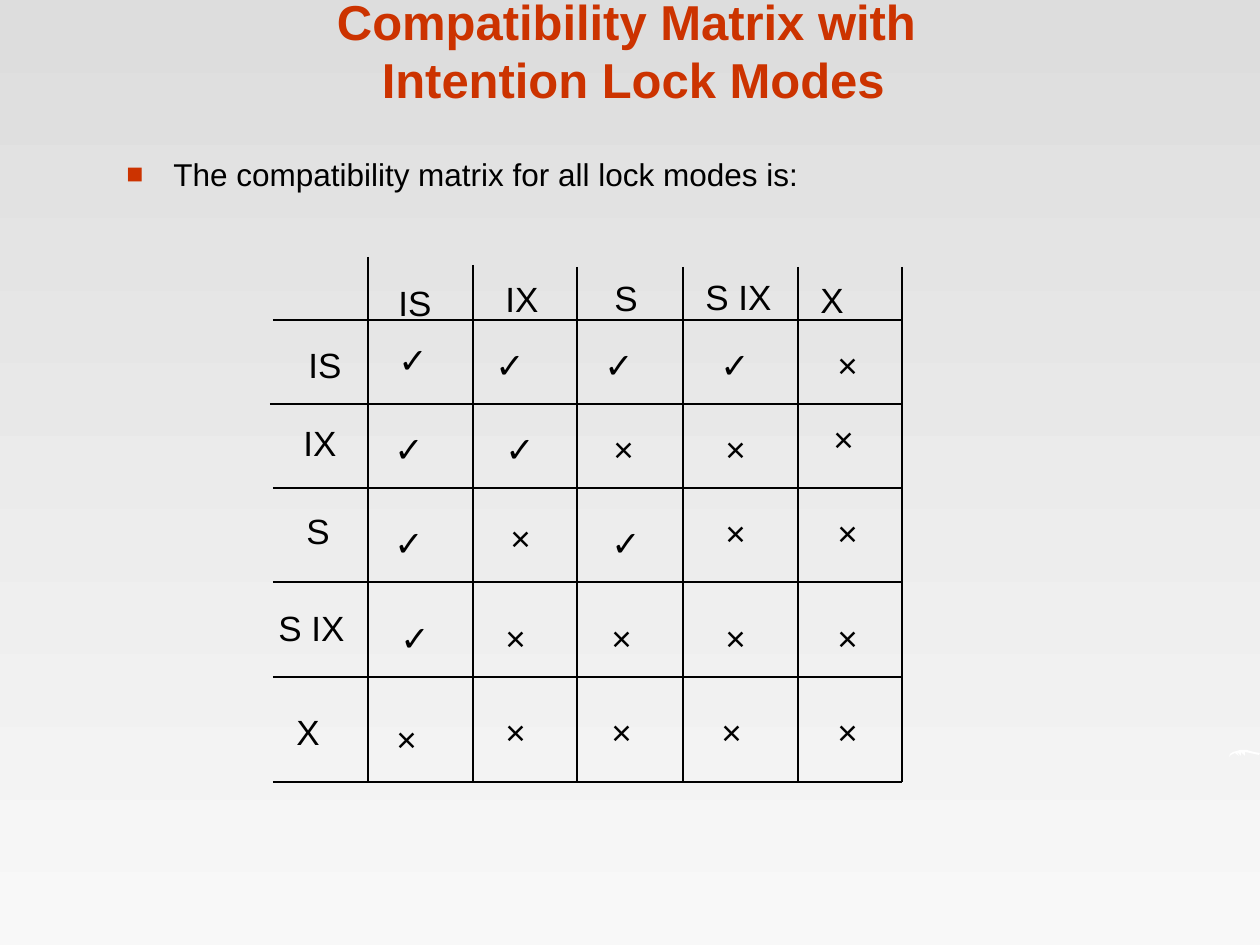
from lxml.etree import SubElement
from pptx import Presentation
from pptx.dml.color import RGBColor
from pptx.enum.shapes import MSO_CONNECTOR as CONN
from pptx.enum.text import MSO_ANCHOR as ANCHOR, MSO_AUTO_SIZE as AUTO, PP_ALIGN as ALIGN
from pptx.oxml.ns import qn
from pptx.util import Emu, Pt

SCALE = 914400 / 126  # EMU per px
BLACK, WHITE, RED = "000000", "FFFFFF", "CC3300"


def px(n):
    return Emu(round(n * SCALE))


def color(code):
    return RGBColor.from_string(code)


class Deck:
    font = "Arial"

    def __init__(self, width, height):
        self.prs = Presentation()
        self.prs.slide_width, self.prs.slide_height = px(width), px(height)
        self.s = None

    def add_slide(self, top, bottom):
        self.s = self.prs.slides.add_slide(self.prs.slide_layouts[6])
        fill = self.s.background.fill
        fill.gradient()
        fill.gradient_angle = 270
        for stop, code, pos in zip(fill.gradient_stops, (top, bottom), (0, 1)):
            stop.color.rgb, stop.position = color(code), pos

    def box(self, x, y, w, h, wrap=True):
        tf = self.s.shapes.add_textbox(px(x), px(y), px(w), px(h)).text_frame
        tf.word_wrap = wrap
        tf.auto_size = AUTO.NONE if wrap else AUTO.SHAPE_TO_FIT_TEXT
        return tf

    def run(self, p, text, size, code=BLACK, bold=False):
        r = p.add_run()
        r.text = text
        f = r.font
        f.name, f.size, f.bold = self.font, Pt(size), bold
        f.color.rgb = color(code)

    def title(self, x, y, w, h, lines):
        tf = self.box(x, y, w, h)
        tf.vertical_anchor = ANCHOR.BOTTOM
        p = tf.paragraphs[0]
        p.alignment = ALIGN.CENTER
        for i, line in enumerate(lines):
            if i:
                p.add_line_break()
            self.run(p, line, 28, RED, True)

    def bullet(self, x, y, w, h, text, indent):
        p = self.box(x, y, w, h).paragraphs[0]
        p.space_before = Pt(7.9)
        pPr = p._p.get_or_add_pPr()
        pPr.set("marL", str(px(indent)))
        pPr.set("indent", str(px(-indent)))
        SubElement(SubElement(pPr, qn("a:buClr")), qn("a:srgbClr")).set("val", RED)
        SubElement(pPr, qn("a:buSzPct")).set("val", "90000")
        SubElement(pPr, qn("a:buFont")).set("typeface", self.font)
        SubElement(pPr, qn("a:buChar")).set("char", "■")
        self.run(p, text, 18)

    def label(self, x, y, w, text):
        self.run(self.box(x, y, w, 55, wrap=False).paragraphs[0], text, 20)

    def line(self, x1, y1, x2, y2):
        c = self.s.shapes.add_connector(CONN.STRAIGHT, px(x1), px(y1), px(x2), px(y2))
        c.line.color.rgb, c.line.width = color(BLACK), Pt(0.75)
        SubElement(c._element.spPr, qn("a:effectLst"))

    def outline(self, points, code):
        fb = self.s.shapes.build_freeform(*points[0], scale=SCALE)
        fb.add_line_segments(points[1:], close=True)
        sp = fb.convert_to_shape()
        sp.shadow.inherit = False
        sp.fill.solid()
        sp.fill.fore_color.rgb = color(code)
        sp.line.fill.background()


# Grid: rule position and where each rule starts
RIGHT, BOTTOM = 902, 782
COLUMN_RULES = [(368, 257), (473, 265), (577, 267), (683, 267), (798, 267), (RIGHT, 267)]
ROW_RULES = [(320, 273), (404, 270), (488, 273), (582, 273), (677, 273), (BOTTOM, 273)]

# Matrix: texts of each row, with the left and top of each text
YES, NO = "✓", "×"
WIDTHS = {"IS": 58, "IX": 58, "S": 48, "S IX": 96, "X": 58, YES: 54, NO: 53}
MATRIX = [
    (["IS", "IX", "S", "S IX", "X"],
     [386, 493, 602, 693, 808], [275, 271, 270, 269, 272]),
    (["IS", YES, YES, YES, YES, NO],
     [296, 386, 483, 592, 708, 825], [337, 332, 337, 337, 337, 337]),
    (["IX", YES, YES, NO, NO, NO],
     [291, 382, 493, 601, 713, 821], [415, 421, 421, 421, 421, 411]),
    (["S", YES, NO, YES, NO, NO],
     [294, 382, 498, 599, 713, 825], [503, 515, 510, 515, 505, 505]),
    (["S IX", YES, NO, NO, NO, NO],
     [266, 388, 493, 599, 713, 825], [600, 610, 610, 610, 610, 610]),
    (["X", NO, NO, NO, NO, NO],
     [284, 384, 493, 599, 709, 825], [704, 711, 704, 704, 704, 704]),
]

SWOOSH = [(1229, 757), (1230, 754), (1233, 752), (1240, 750), (1247, 750),
          (1254, 752), (1260, 753), (1259, 755), (1250, 753), (1245, 752),
          (1245, 756), (1241, 752), (1241, 756), (1237, 752), (1239, 756),
          (1235, 753), (1231, 755)]


def main():
    d = Deck(1260, 945)
    d.add_slide("DDDDDD", "F8F8F8")
    d.outline(SWOOSH, WHITE)

    # Heading and bullet
    d.title(23, 31, 1207, 84, ["Compatibility Matrix with", " Intention Lock Modes"])
    d.bullet(114, 149, 1081, 609, "The compatibility matrix for all lock modes is:", 47)

    # Grid rules
    for x, top in COLUMN_RULES:
        d.line(x, top, x, BOTTOM)
    for y, left in ROW_RULES:
        d.line(left, y, RIGHT, y)

    # Lock modes and marks
    for texts, xs, ys in MATRIX:
        for text, x, y in zip(texts, xs, ys):
            d.label(x, y, WIDTHS[text], text)

    d.prs.save("out.pptx")


if __name__ == "__main__":
    main()
